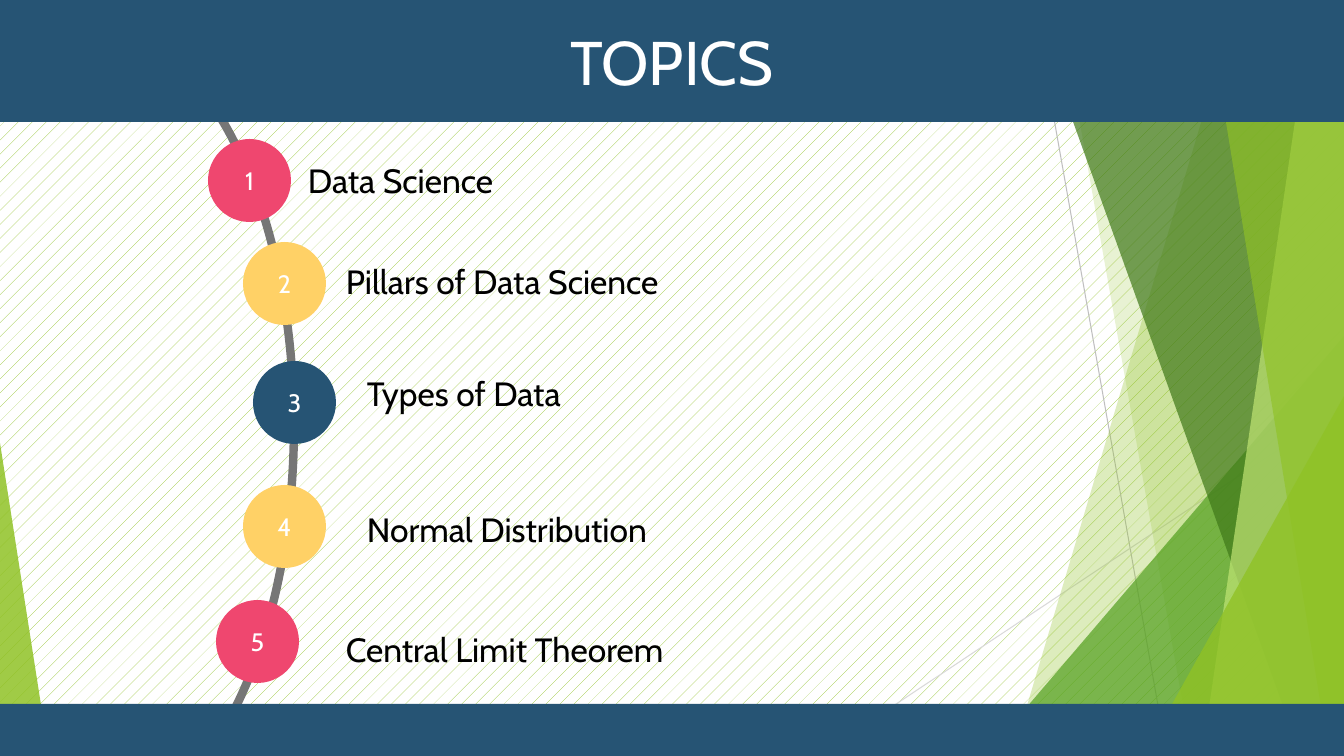
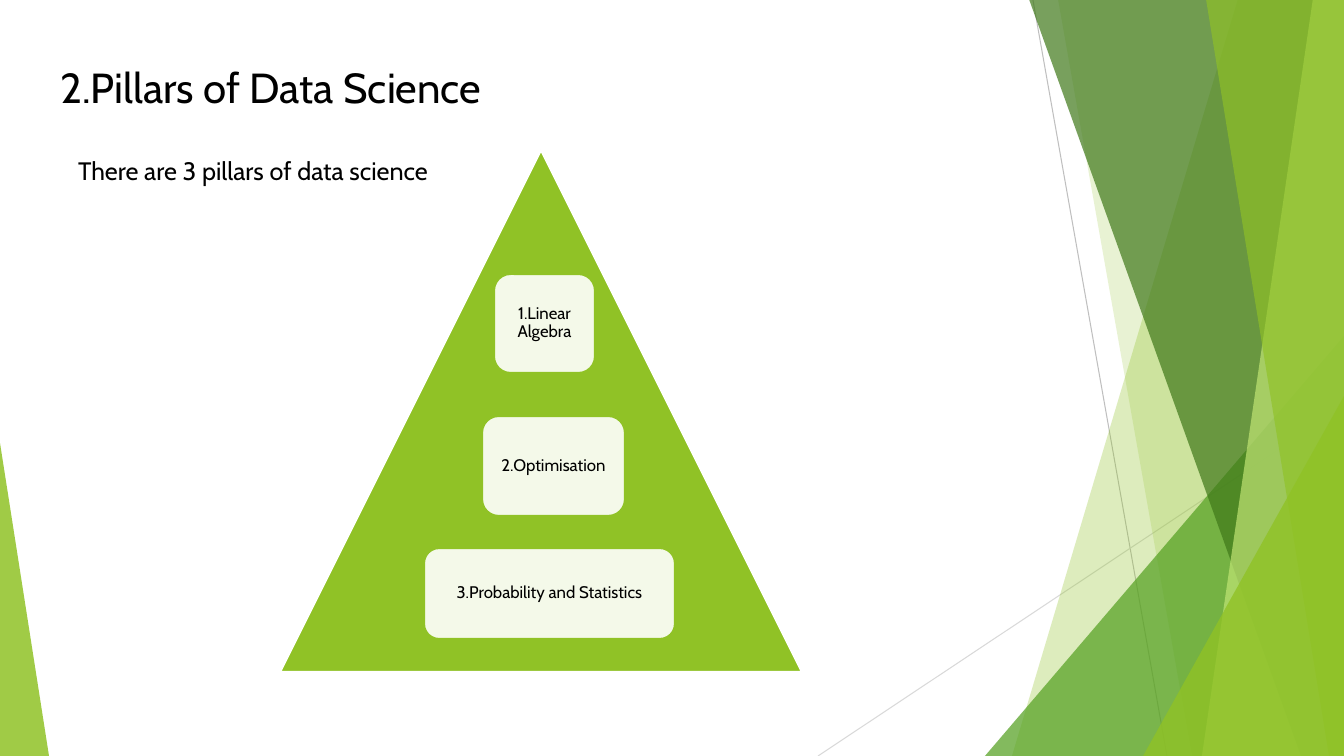
import dataclasses

import lxml.etree
import pptx
import pptx.dml.color
import pptx.enum.dml
import pptx.enum.shapes
import pptx.enum.text
import pptx.oxml.ns
import pptx.util

WIDE, HIGH = 1344, 756
PX = 12192000 / WIDE  # EMU in one px

KIND = pptx.enum.shapes.MSO_SHAPE
ALIGN = pptx.enum.text.PP_ALIGN
ANCHOR = pptx.enum.text.MSO_ANCHOR


@dataclasses.dataclass(frozen=True)
class Theme:
    font: str = "Cabin"
    black: str = "000000"
    white: str = "FFFFFF"
    navy: str = "265474"
    pink: str = "EF476F"
    gold: str = "FFD166"
    gray: str = "767676"
    mist: str = "BFBFBF"
    pale: str = "D9D9D9"
    lime: str = "90C226"
    leaf: str = "54A021"
    moss: str = "3F7819"
    mint: str = "C0E474"
    banner: int = 44
    head: int = 30
    label: int = 24
    body: int = 18
    small: int = 12


T = Theme()


# Helpers
def emu(*nums):
    return [round(n * PX) for n in nums]


def rgb(code):
    return pptx.dml.color.RGBColor.from_string(code)


def assign(item, vals):
    for key, val in vals.items():
        setattr(item, key, val)


def place(shape, box):
    assign(shape, dict(zip(("left", "top", "width", "height"), emu(*box))))


def child(node, tag, **vals):
    return lxml.etree.SubElement(node, pptx.oxml.ns.qn(tag), **vals)


def paint(shape, fill=None, alpha=100, line=None, weight=1.5):
    """Set fill, opacity in percent and outline."""
    if fill:
        shape.fill.solid()
        shape.fill.fore_color.rgb = rgb(fill)
        if alpha < 100:
            node = shape.fill._xPr.find(".//" + pptx.oxml.ns.qn("a:srgbClr"))
            child(node, "a:alpha", val=str(alpha * 1000))
    else:
        shape.fill.background()
    if line:
        shape.line.color.rgb = rgb(line)
        shape.line.width = pptx.util.Pt(weight)
    else:
        shape.line.fill.background()


def draw(shapes, kind, box, adj=None, **look):
    shape = shapes.add_shape(kind, *emu(*box))
    shape.shadow.inherit = False
    if adj is not None:
        shape.adjustments[0] = adj
    paint(shape, **look)
    return shape


def write(shape, text, size, color=T.black, frame=None, para=None):
    """Put one formatted paragraph into a shape."""
    body = shape.text_frame
    assign(body, {"word_wrap": True,
                  "auto_size": pptx.enum.text.MSO_AUTO_SIZE.NONE,
                  "vertical_anchor": ANCHOR.TOP, **(frame or {})})
    line = body.paragraphs[0]
    assign(line, {"alignment": ALIGN.LEFT, **(para or {})})
    run = line.add_run()
    run.text = text
    assign(run.font, {"name": T.font, "size": pptx.util.Pt(size)})
    run.font.color.rgb = rgb(color)


MID = {"vertical_anchor": ANCHOR.MIDDLE}
CENTER = {"alignment": ALIGN.CENTER}


# Green facets, shared through the slide master
LINES = [((1033, 0), (1167, HIGH), T.mist), ((WIDE, 406), (818, HIGH), T.pale)]
# Strips give top and bottom x of the left edge, triangles a box and apex
FACETS = [
    (T.lime, 30, (1238, 1012)),
    (T.lime, 20, (1058, 1192)),
    (T.leaf, 72, (985, 336, 359, 420, 1)),
    (T.moss, 70, (1029, 1301)),
    (T.mint, 70, (1313, 1202)),
    (T.lime, 65, (1206, 1329)),
    (T.lime, 80, (1143, 396, 201, 360, 1)),
    (T.lime, 85, (0, 443, 49, 313, 0)),
]


def strip(shapes, top, foot, fill, alpha):
    path = shapes.build_freeform(top, -1, scale=PX)
    path.add_line_segments([(WIDE, -1), (WIDE, HIGH), (foot, HIGH)])
    shape = path.convert_to_shape()
    shape.shadow.inherit = False
    paint(shape, fill, alpha)


def backdrop(slide, master):
    """Draw the facets as a group and move it to the master."""
    group = slide.shapes.add_group_shape()
    wire = pptx.enum.shapes.MSO_CONNECTOR.STRAIGHT
    for start, end, color in LINES:
        line = group.shapes.add_connector(wire, *emu(*start, *end))
        line.line.color.rgb = rgb(color)
        line.line.width = pptx.util.Pt(0.75)
        child(line.element.spPr, "a:effectLst")
    for fill, alpha, form in FACETS:
        if len(form) == 2:
            strip(group.shapes, *form, fill, alpha)
        else:
            draw(group.shapes, KIND.ISOSCELES_TRIANGLE, form[:4], form[4],
                 fill=fill, alpha=alpha)
    for num, node in enumerate(group.element.iter(pptx.oxml.ns.qn("p:cNvPr"))):
        node.set("id", str(100 + num))
    master.shapes.element.insert(2, group.element)


# Topics slide
# Dot offset, label offset, dot colour, label
TOPICS = [
    ((0, 0), (90, 16), T.pink, "Data Science"),
    ((35, 103), (128, 117), T.gold, "Pillars of Data Science"),
    ((45, 222), (149, 229), T.navy, "Types of Data"),
    ((35, 346), (149, 365), T.gold, "Normal Distribution"),
    ((8, 461), (128, 485), T.pink, "Central Limit Theorem"),
]


def bands(slide, head, foot):
    """Place the title band and the footer band."""
    title = slide.shapes.title
    place(title, head)
    paint(title, T.navy)
    write(title, "TOPICS", T.banner, T.white, MID, CENTER)
    draw(slide.shapes, KIND.RECTANGLE, foot, fill=T.navy)


def arc(slide, box):
    """Draw the curve behind the bands."""
    ring = draw(slide.shapes, KIND.OVAL, box, line=T.gray, weight=6)
    slide.shapes.title.element.addprevious(ring.element)


def agenda(slide, box):
    """Place numbered dots and their labels along the curve."""
    left, top, wide, size = box
    for num, (dot, tag, fill, text) in enumerate(TOPICS, 1):
        spot = (left + dot[0], top + dot[1], size, size)
        shape = draw(slide.shapes, KIND.FLOWCHART_CONNECTOR, spot, fill=fill)
        write(shape, str(num), T.body, T.white, MID, CENTER)
        spot = (left + tag[0], top + tag[1], wide, 50)
        write(slide.shapes.add_textbox(*emu(*spot)), text, T.label)


def topics(slide):
    fill = slide.background.fill
    fill.patterned()
    fill.pattern = pptx.enum.dml.MSO_PATTERN.PERCENT_5
    fill.fore_color.rgb = rgb(T.lime)
    fill.back_color.rgb = rgb(T.white)
    arc(slide, (-110, 26, 404, 800))
    agenda(slide, (208, 139, 410, 83))
    bands(slide, (0, 0, WIDE, 122), (0, 704, WIDE, 52))


# Pillars slide
CARDS = [
    ((214, 124, 101, 99), "1.Linear Algebra"),
    ((202, 266, 143, 100), "2.Optimisation"),
    ((144, 398, 251, 91), "3.Probability and Statistics"),
]


def pyramid(slide, box):
    """Draw the triangle with its cards."""
    draw(slide.shapes, KIND.ISOSCELES_TRIANGLE, box, fill=T.lime, line=T.white)
    inset = emu(10)[0]
    frame = {**MID, "margin_left": inset, "margin_right": inset}
    for (x, y, wide, high), text in CARDS:
        spot = (box[0] + x, box[1] + y, wide, high)
        card = draw(slide.shapes, KIND.ROUNDED_RECTANGLE, spot,
                    fill=T.white, alpha=90, line=T.lime)
        write(card, text, T.small, frame=frame,
              para={**CENTER, "line_spacing": 0.9})


def pillars(slide):
    title, body = slide.shapes.title, slide.placeholders[1]
    place(title, (50, 56, 938, 61))
    write(title, "2.Pillars of Data Science", T.head)
    place(body, (68, 150, 454, 40))
    write(body, "There are 3 pillars of data science", T.body,
          para={"space_before": pptx.util.Pt(0)})
    # Plain line without bullet or indent
    props = body.text_frame.paragraphs[0]._p.get_or_add_pPr()
    props.set("marL", "0")
    props.set("indent", "0")
    child(props, "a:buNone")
    pyramid(slide, (280, 150, 522, 522))


def main():
    deck = pptx.Presentation()
    deck.slide_width, deck.slide_height = emu(WIDE, HIGH)
    first = deck.slides.add_slide(deck.slide_layouts[5])
    backdrop(first, deck.slide_master)
    topics(first)
    pillars(deck.slides.add_slide(deck.slide_layouts[1]))
    deck.save("out.pptx")


if __name__ == "__main__":
    main()
